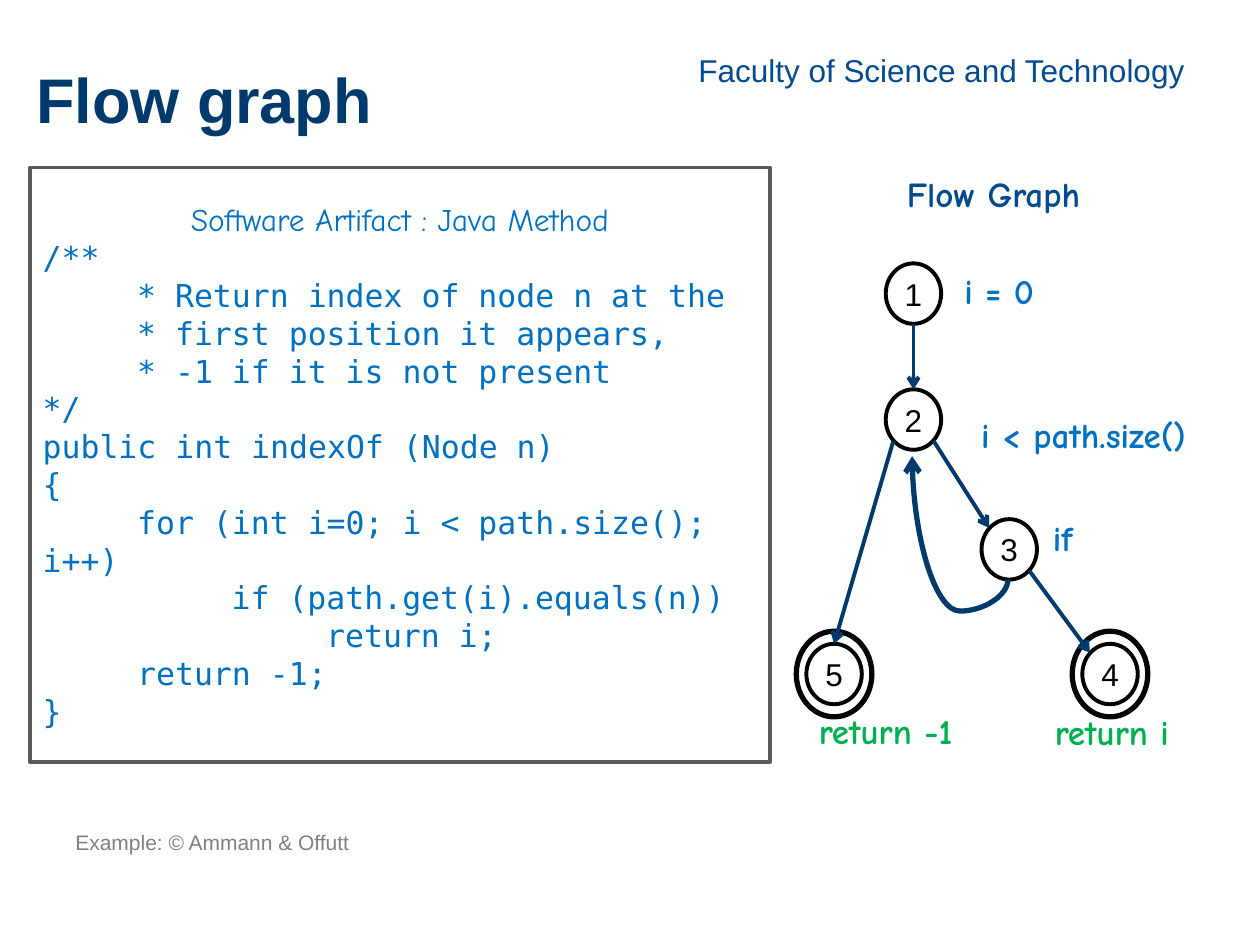
import pptx
import pptx.dml.color
import pptx.enum.shapes
import pptx.enum.text
import pptx.oxml
import pptx.oxml.ns
import pptx.util
from pptx.util import Inches

ALIGN = pptx.enum.text.PP_ALIGN
ANCHOR = pptx.enum.text.MSO_ANCHOR
SHAPE = pptx.enum.shapes.MSO_SHAPE
CONNECTOR = pptx.enum.shapes.MSO_CONNECTOR

NAVY, BLUE, SKY, GREEN = "003A6D", "004A8D", "0070C0", "00B050"
BLACK, WHITE = "000000", "FFFFFF"
HAND, MONO = "Comic Neue", "DejaVu Sans Mono"

INDENT = 0.75
CODE = [
    (0, "/**"),
    (1, "* Return index of node n at the"),
    (1, "* first position it appears,"),
    (1, "* -1 if it is not present"),
    (0, "*/"),
    (0, "public int indexOf (Node n)"),
    (0, "{"),
    (1, "for (int i=0; i < path.size(); i++)"),
    (2, "if (path.get(i).equals(n))"),
    (3, "return i;"),
    (1, "return -1;"),
    (0, "}"),
]

NODE_W, NODE_H = 0.44, 0.48
NODES = {
    "1": (1.05, 1.03),
    "2": (1.05, 2.03),
    "3": (1.81, 3.06),
    "4": (2.61, 4.05),
    "5": (0.42, 4.05),
}
FINAL_NODES = ("4", "5")
SIDES = {
    "top": (0, -0.24),
    "bottom": (0, 0.24),
    "top left": (-0.16, -0.17),
    "bottom left": (-0.16, 0.17),
    "bottom right": (0.16, 0.17),
}
EDGES = [
    ("1", "bottom", "2", "top"),
    ("2", "bottom left", "5", "top"),
    ("3", "bottom right", "4", "top left"),
    ("2", "bottom right", "3", "top left"),
]
LABELS = [
    ("Flow Graph", 0.15, 0.02, 3.07, BLUE),
    ("i = 0", 1.24, 0.79, 0.98, SKY),
    ("i < path.size()", 1.22, 1.93, 2.36, SKY),
    ("if", 1.92, 2.75, 0.63, SKY),
    ("return i", 1.89, 4.29, 1.47, GREEN),
    ("return -1", 0, 4.28, 1.66, GREEN),
]


def color(value):
    return pptx.dml.color.RGBColor.from_string(value)


def style(para, font, size, ink, bold=False, align=ALIGN.LEFT):
    para.alignment = align
    para.font.name = font
    para.font.size = pptx.util.Pt(size)
    para.font.bold = bold
    para.font.color.rgb = color(ink)


def add_text(page, box, text, anchor=ANCHOR.TOP, **look):
    frame = page.shapes.add_textbox(*map(Inches, box)).text_frame
    frame.word_wrap = True
    frame.vertical_anchor = anchor
    frame.text = text
    style(frame.paragraphs[0], **look)
    return frame


def add_outline(page, kind, box, ink, width):
    shape = page.shapes.add_shape(kind, *map(Inches, box))
    shape.shadow.inherit = False
    shape.fill.solid()
    shape.fill.fore_color.rgb = color(WHITE)
    shape.line.color.rgb = color(ink)
    shape.line.width = pptx.util.Pt(width)
    shape.text_frame.vertical_anchor = ANCHOR.MIDDLE
    return shape


def add_arrow(page, kind, start, end, width):
    arrow = page.shapes.add_connector(kind, *map(Inches, (*start, *end)))
    arrow.line.color.rgb = color(NAVY)
    arrow.line.width = pptx.util.Pt(width)
    qn = pptx.oxml.ns.qn
    head = arrow.line._get_or_add_ln().makeelement(qn("a:tailEnd"), {"type": "arrow"})
    arrow.line._get_or_add_ln().append(head)
    properties = arrow._element.spPr
    properties.append(properties.makeelement(qn("a:effectLst"), {}))
    return arrow


def add_titles(page):
    add_text(page, (0.5, 0.36, 9, 0.4), "Faculty of Science and Technology",
             font="Arial", size=18, ink=BLUE, align=ALIGN.RIGHT)
    title = add_text(page, (0.19, 0.38, 9, 1.25), "Flow graph",
                     font="Arial", size=36, ink=NAVY, bold=True)
    title.margin_top = Inches(0.1)


def add_credit(page, box):
    add_text(page, box, "Example: © Ammann & Offutt", anchor=ANCHOR.MIDDLE,
             font="Arial", size=12, ink="808080")


def add_code(page, box):
    frame = add_outline(page, SHAPE.RECTANGLE, box, "585958", 2).text_frame
    frame.word_wrap = True
    heading = frame.paragraphs[0]
    heading.text = "Software Artifact : Java Method"
    style(heading, HAND, 18, SKY, align=ALIGN.CENTER)
    for level, text in CODE:
        para = frame.add_paragraph()
        para.text = text
        style(para, MONO, 18, SKY)
        properties = para._p.get_or_add_pPr()
        properties.set("marL", "0")
        properties.set("indent", str(Inches(level * INDENT)))


def add_node(page, name, x, y):
    if name in FINAL_NODES:
        add_outline(page, SHAPE.OVAL, (x - 0.3, y - 0.34, 0.6, 0.68), "070208", 3)
    box = (x - NODE_W / 2, y - NODE_H / 2, NODE_W, NODE_H)
    frame = add_outline(page, SHAPE.OVAL, box, BLACK, 2.25).text_frame
    frame.word_wrap = False
    frame.margin_left = frame.margin_right = 0
    frame.margin_top = frame.margin_bottom = 0
    frame.text = name
    style(frame.paragraphs[0], "Arial", 18, BLACK, align=ALIGN.CENTER)


def add_loop(page, left, top):
    loop = add_arrow(page, CONNECTOR.CURVE, (left + 0.98, top), (left, top + 0.76), 3)
    loop._element.spPr.find(pptx.oxml.ns.qn("a:xfrm")).set("rot", "5400000")
    guides = next(loop._element.iter(pptx.oxml.ns.qn("a:avLst")))
    guides.append(guides.makeelement(
        pptx.oxml.ns.qn("a:gd"), {"name": "adj1", "fmla": "val -25500"}))


def add_graph(page, left, top):
    def site(node, side):
        (x, y), (dx, dy) = NODES[node], SIDES[side]
        return left + x + dx, top + y + dy

    for name, (x, y) in NODES.items():
        add_node(page, name, left + x, top + y)
    for source, leaving, target, entering in EDGES:
        add_arrow(page, CONNECTOR.STRAIGHT, site(source, leaving),
                  site(target, entering), 2.25)
    add_loop(page, left + 0.93, top + 2.43)
    for text, x, y, width, ink in LABELS:
        add_text(page, (left + x, top + y, width, 0.44), text,
                 font=HAND, size=20, ink=ink, bold=True, align=ALIGN.CENTER)


def main():
    deck = pptx.Presentation()
    deck.slide_width, deck.slide_height = Inches(10), Inches(7.5)
    page = deck.slides.add_slide(deck.slide_layouts[6])
    add_titles(page)
    add_credit(page, (0.5, 6.56, 3.86, 0.25))
    add_code(page, (0.24, 1.33, 5.87, 4.72))
    add_graph(page, 6.2, 1.3)
    deck.save("out.pptx")


if __name__ == "__main__":
    main()
